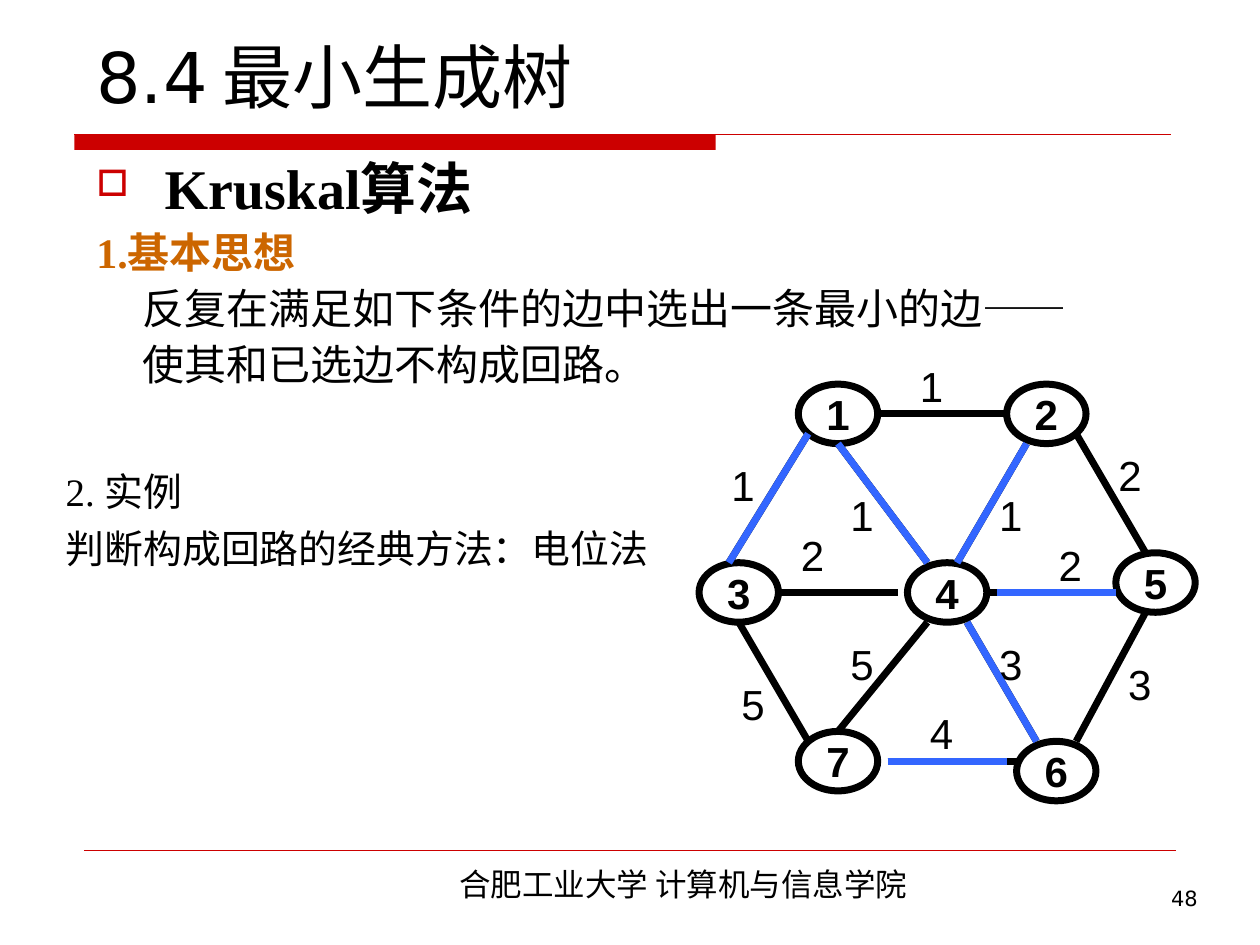
import pptx
import pptx.util
import pptx.dml.color
import pptx.enum.shapes
import pptx.enum.text
import pptx.oxml.ns
from lxml import etree

Pt = pptx.util.Pt
ALIGN = pptx.enum.text.PP_ALIGN
ANCHOR = pptx.enum.text.MSO_ANCHOR
SHAPE = pptx.enum.shapes.MSO_SHAPE

COLORS = {"text": "000000", "red": "CC0000", "heading": "CC6600", "chosen": "3366FF"}
UNIT = 5.67  # grid step of the graph

# Top left corner of each node, in grid steps
NODES = {"1": (10, 3), "2": (31, 3), "3": (0, 21), "4": (21, 21),
         "5": (42, 20), "6": (32, 39), "7": (10, 38)}

# Start, end, weight, corner of the weight label
EDGES = [
    ((11, 8), (3, 21), "1", (2, 10)),
    ((18, 6), (31, 6), "1", (21, 0)),
    ((14, 9), (23, 21), "1", (14, 13)),
    ((33, 9), (26, 21), "1", (29, 13)),
    ((38, 8), (45, 20), "2", (41, 9)),
    ((8, 24), (20, 24), "2", (9, 17)),
    ((29, 24), (42, 24), "2", (35, 18)),
    ((4, 27), (11, 39), "5", (3, 32)),
    ((23, 27), (14, 38), "5", (14, 28)),
    ((27, 27), (34, 39), "3", (29, 28)),
    ((45, 26), (38, 39), "3", (42, 30)),
    ((19, 41), (32, 41), "4", (22, 35)),
]

# Edges picked for the spanning tree
CHOSEN = [((11, 8), (3, 21)), ((33, 9), (26, 21)), ((14, 9), (23, 21)),
          ((30, 24), (42, 24)), ((27, 27), (34, 39)), ((19, 41), (31, 41))]


def rgb(name):
    return pptx.dml.color.RGBColor.from_string(COLORS[name])


def add_xml(parent, tag, **attrs):
    el = etree.SubElement(parent, pptx.oxml.ns.qn(tag))
    for key, value in attrs.items():
        el.set(key, value)
    return el


def add_bullet(p, char, color):
    pPr = p._p.get_or_add_pPr()
    add_xml(add_xml(pPr, "a:buClr"), "a:srgbClr", val=COLORS[color])
    add_xml(pPr, "a:buSzPct", val="65000")
    add_xml(pPr, "a:buChar", char=char)


def add_tab(p, pos):
    tabs = add_xml(p._p.get_or_add_pPr(), "a:tabLst")
    add_xml(tabs, "a:tab", pos=str(Pt(pos)), algn="l")


def write(tf, text, size=24, font="Times New Roman", color="text", bold=False,
          align=ALIGN.LEFT, before=0, spacing=None, left=0, hang=0, bullet=None, tab=None):
    """Fill the empty first paragraph, or add one after the others."""
    p = tf.paragraphs[-1]
    if p.runs:
        p = tf.add_paragraph()
    if bullet:
        add_bullet(p, bullet, "red")
    if tab:
        add_tab(p, tab)
    pPr = p._p.get_or_add_pPr()
    pPr.set("marL", str(Pt(left)))
    pPr.set("indent", str(Pt(-hang)))
    p.alignment = align
    p.space_before = Pt(before)
    if spacing:
        p.line_spacing = spacing
    r = p.add_run()
    r.text = text
    r.font.size, r.font.name, r.font.bold = Pt(size), font, bold
    r.font.color.rgb = rgb(color)


def text_box(s, x, y, w, h, anchor=ANCHOR.TOP):
    tf = s.shapes.add_textbox(Pt(x), Pt(y), Pt(w), Pt(h)).text_frame
    tf.word_wrap = True
    tf.vertical_anchor = anchor
    return tf


def add_line(s, x1, y1, x2, y2, color="text", width=4):
    ln = s.shapes.add_connector(pptx.enum.shapes.MSO_CONNECTOR.STRAIGHT,
                                Pt(x1), Pt(y1), Pt(x2), Pt(y2))
    ln.line.color.rgb = rgb(color)
    ln.line.width = Pt(width)
    add_xml(ln._element.spPr, "a:effectLst")


def add_header(s, x, y, w, h):
    tf = text_box(s, x + 5.5, y, w, h, ANCHOR.BOTTOM)
    write(tf, "8.4\t最小生成树", size=40, font="DejaVu Sans", tab=98)
    # Thick bar that runs on as a thin rule
    rule_y = y + h + 6.5
    bar = s.shapes.add_shape(SHAPE.RECTANGLE, Pt(x), Pt(rule_y), Pt(366.5), Pt(8.7))
    bar.shadow.inherit = False
    bar.fill.solid()
    bar.fill.fore_color.rgb = rgb("red")
    bar.line.fill.background()
    add_line(s, x, rule_y, x + 626.5, rule_y, "red", 0.75)


def add_idea(s, x, y, w, h):
    tf = text_box(s, x, y, w, h)
    write(tf, "Kruskal算法", size=32, bold=True, spacing=0.9, left=39, hang=39, bullet="□")
    write(tf, "1.基本思想", color="heading", bold=True, spacing=0.9, before=6)
    for line in ("反复在满足如下条件的边中选出一条最小的边——", "使其和已选边不构成回路。"):
        write(tf, line, spacing=0.9, before=6, left=26.5)


def add_example(s, x, y, w, h):
    tf = text_box(s, x, y, w, h)
    write(tf, "2. 实例", size=22.2, left=11)
    write(tf, "判断构成回路的经典方法：电位法", size=22.2, left=11, before=6)


def add_node(s, x, y, name):
    sp = s.shapes.add_shape(SHAPE.OVAL, Pt(x), Pt(y), Pt(8 * UNIT), Pt(6 * UNIT))
    sp.shadow.inherit = False
    sp.fill.background()
    sp.line.color.rgb = rgb("text")
    sp.line.width = Pt(4)
    tf = sp.text_frame
    tf.word_wrap = False
    tf.vertical_anchor = ANCHOR.MIDDLE
    write(tf, name, font="Arial", bold=True, align=ALIGN.CENTER)


def add_graph(s, x, y):
    def at(point):
        return x + point[0] * UNIT, y + point[1] * UNIT

    for name, corner in NODES.items():
        add_node(s, *at(corner), name)
    for start, end, weight, corner in EDGES:
        add_line(s, *at(start), *at(end))
        write(text_box(s, *at(corner), 5 * UNIT, 36), weight, font="Arial")
    for start, end in CHOSEN:
        add_line(s, *at(start), *at(end), color="chosen")


def add_footer(s, x, y, w):
    add_line(s, x, y, x + w, y, "red", 0.25)
    write(text_box(s, x + 124.5, y + 5, 436, 29), "合肥工业大学 计算机与信息学院",
          size=18, font="Noto Sans CJK SC", align=ALIGN.CENTER)
    write(text_box(s, x + 487.5, y + 16.5, 156, 37), "48",
          size=12, font="DejaVu Sans", align=ALIGN.RIGHT)


def main():
    prs = pptx.Presentation()
    prs.slide_width, prs.slide_height = Pt(720), Pt(540)
    s = prs.slides.add_slide(prs.slide_layouts[6])
    add_header(s, 42.5, -25, 630, 95.5)
    add_footer(s, 48, 486, 624)
    add_example(s, 19.5, 263.5, 391, 80)
    add_idea(s, 48, 88.5, 629, 148)
    add_graph(s, 399.5, 202.5)
    prs.save("out.pptx")


if __name__ == "__main__":
    main()
